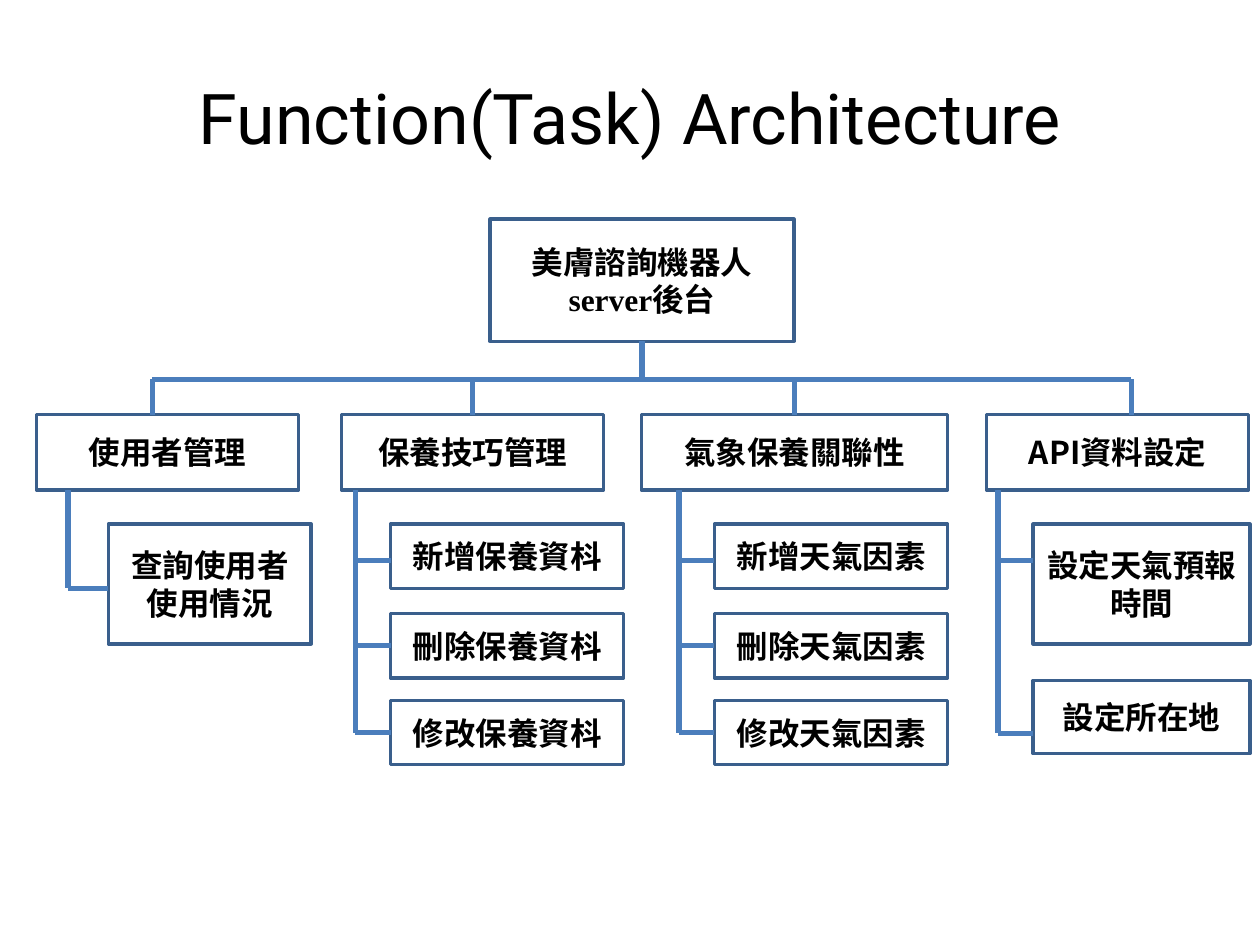
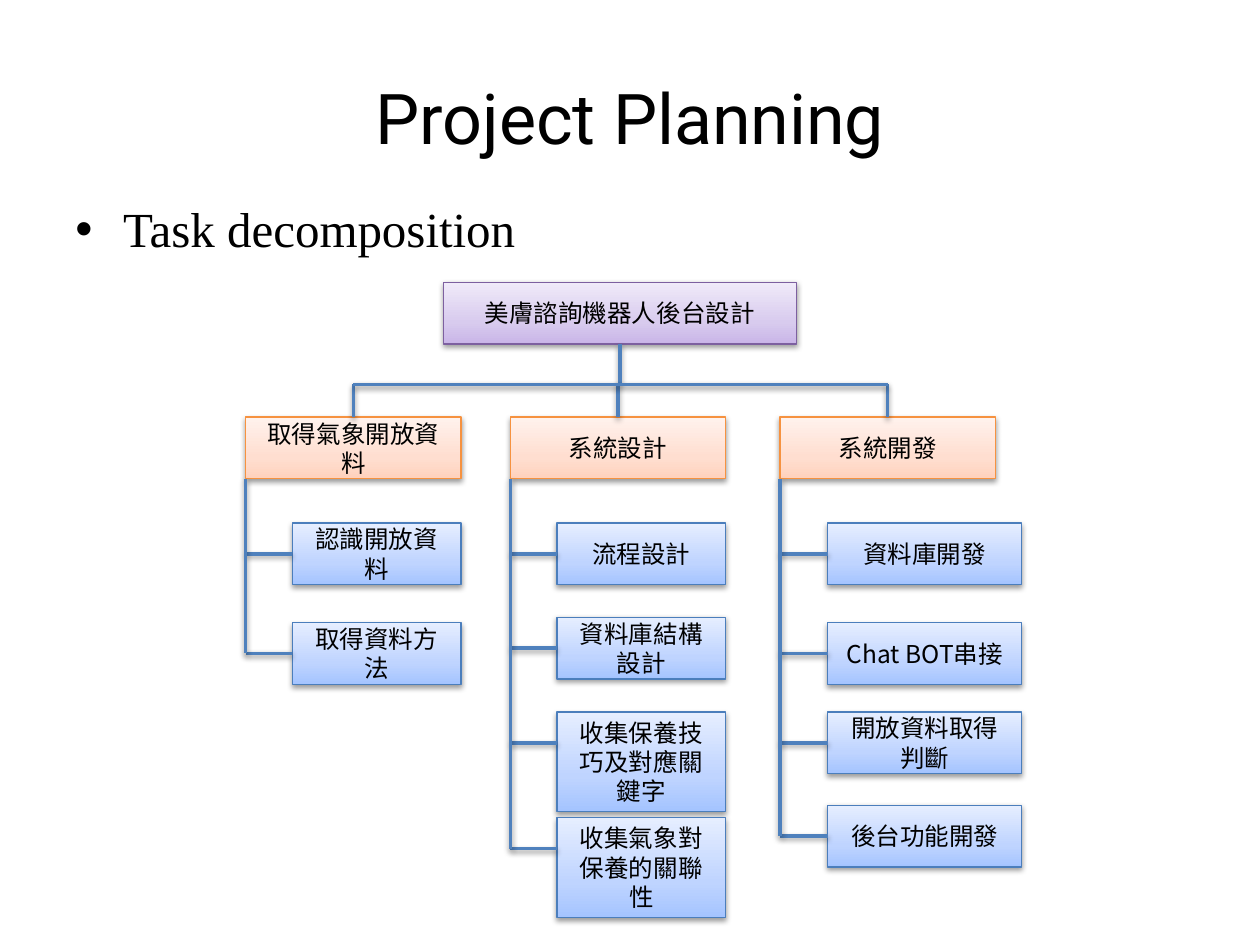
from lxml import etree
from pptx import Presentation
from pptx.dml.color import RGBColor
from pptx.enum.shapes import MSO_CONNECTOR, MSO_SHAPE
from pptx.enum.text import MSO_ANCHOR, PP_ALIGN
from pptx.oxml.ns import qn
from pptx.util import Inches, Pt

RECT, STRAIGHT = MSO_SHAPE.RECTANGLE, MSO_CONNECTOR.STRAIGHT
CENTER, LEFT = PP_ALIGN.CENTER, PP_ALIGN.LEFT
MIDDLE, TOP = MSO_ANCHOR.MIDDLE, MSO_ANCHOR.TOP
TOP_SIDE, LEFT_SIDE, BOTTOM_SIDE = 0, 1, 2
TITLE_ONLY = 5
COLS, ROWS = 100, 75
SLIDE_W, SLIDE_H = Inches(10), Inches(7.5)
JOIN_GAP = 0.3

C = {
    "text": "000000", "shadow": "000000", "outline": "3A5F8C",
    "branch": "4B7EBC", "link": "4F81BD", "root": "7D60A0", "head": "F69240",
}
GRADIENTS = {
    "root": ("C9B5E8", "D8CBEE", "F0EAF9"),
    "head": ("FFD2BD", "FFDED0", "FFF2ED"),
    "leaf": ("A4C4FF", "BFD4FF", "E6EEFF"),
}
STOPS = (0, 35, 100)
SERIF, SANS, TITLE_FONT = "Times New Roman", "Noto Sans CJK SC", "Roboto"
RUN_FONTS = {"API": SANS}

PLAIN_BOX = {"line": C["outline"], "width": 2, "shadow": False, "grad": None}
SOFT_BOX = {"width": 0.75, "shadow": True}
PLAIN = {
    "font": {"name": SERIF, "size": Pt(18), "bold": True},
    "link": {"line": C["branch"], "width": 3, "shadow": False},
    "root": PLAIN_BOX, "head": PLAIN_BOX, "leaf": PLAIN_BOX,
}
SOFT = {
    "font": {"name": SANS, "size": Pt(14)},
    "link": {"line": C["link"], "width": 2, "shadow": True},
    "root": {**SOFT_BOX, "line": C["root"], "grad": GRADIENTS["root"]},
    "head": {**SOFT_BOX, "line": C["head"], "grad": GRADIENTS["head"]},
    "leaf": {**SOFT_BOX, "line": C["branch"], "grad": GRADIENTS["leaf"]},
}


def grid(*values):
    """Turn alternating columns and rows into slide lengths."""
    units = (SLIDE_W / COLS, SLIDE_H / ROWS)
    return [round(v * units[i % 2]) for i, v in enumerate(values)]


def add_run(p, text, font):
    """Add a run whose font takes the given values."""
    r = p.add_run()
    r.text = text
    r.font.color.rgb = RGBColor.from_string(C["text"])
    for key, value in font.items():
        setattr(r.font, key, value)
    etree.SubElement(r.font._element, qn("a:ea"), typeface=SANS)


def finish(obj, look):
    """Set the outline and the shadow of a shape or connector."""
    obj.line.color.rgb = RGBColor.from_string(look["line"])
    obj.line.width = Pt(look["width"])
    effects = etree.SubElement(obj._element.spPr, qn("a:effectLst"))
    if look["shadow"]:
        shadow = etree.SubElement(effects, qn("a:outerShdw"), blurRad="40000",
                                  dist="20000", dir="5400000", rotWithShape="0")
        color = etree.SubElement(shadow, qn("a:srgbClr"), val=C["shadow"])
        etree.SubElement(color, qn("a:alpha"), val="38000")


def fill_gradient(sp, colors):
    """Fill a shape with a three-stop gradient, darkest at the bottom."""
    sp.fill.gradient()
    sp.fill.gradient_angle = 90
    stops = sp._element.spPr.find(qn("a:gradFill")).find(qn("a:gsLst"))
    for stop in list(stops):
        stops.remove(stop)
    for pos, color in zip(STOPS, colors):
        stop = etree.SubElement(stops, qn("a:gs"), pos=str(pos * 1000))
        etree.SubElement(stop, qn("a:srgbClr"), val=color)


def add_box(shapes, box, label, look, font):
    """Draw one labelled box of the tree."""
    sp = shapes.add_shape(RECT, *grid(*box))
    if look["grad"]:
        fill_gradient(sp, look["grad"])
    else:
        sp.fill.background()
    finish(sp, look)
    tf = sp.text_frame
    tf.word_wrap, tf.vertical_anchor = True, MIDDLE
    p = tf.paragraphs[0]
    p.alignment = CENTER
    for text in (label if isinstance(label, tuple) else (label,)):
        add_run(p, text, {**font, "name": RUN_FONTS.get(text, font["name"])})
    return sp


def add_link(shapes, start, end, look):
    """Draw one straight line of the tree."""
    cx = shapes.add_connector(STRAIGHT, *grid(*start, *end))
    finish(cx, look)
    return cx


def snap(value, middle):
    """Return the middle of a side when the value is close to it."""
    return middle if abs(value - middle) < JOIN_GAP else value


def draw_branch(shapes, box, bus_y, branch, style):
    """Draw a head box with its drop, stem, twigs and leaves."""
    x, y, w, h = box
    head = add_box(shapes, box, branch["label"], style["head"], style["font"])
    link = style["link"]
    middle = x + w / 2
    drop_x = snap(x + branch["drop"], middle)
    drop = add_link(shapes, (drop_x, bus_y), (drop_x, y), link)
    if drop_x == middle:
        drop.end_connect(head, TOP_SIDE)

    stem_x, leaf_x = x + branch["stem"], x + branch["indent"]
    for label, dy, leaf_h, twig in branch["leaves"]:
        leaf_box = (leaf_x, y + dy, branch["leaf_w"], leaf_h)
        leaf = add_box(shapes, leaf_box, label, style["leaf"], style["font"])
        middle = y + dy + leaf_h / 2
        twig_y = snap(y + twig, middle)
        cx = add_link(shapes, (stem_x, twig_y), (leaf_x, twig_y), link)
        if twig_y == middle:
            cx.end_connect(leaf, LEFT_SIDE)
    add_link(shapes, (stem_x, y + h), (stem_x, twig_y), link)
    return drop_x


def draw_tree(slide, origin, tree, style):
    """Draw a root box, its bus line and all branches from an origin."""
    x, y = origin
    shapes = slide.shapes.add_group_shape().shapes
    dx, w, h = tree["root"]
    root = add_box(shapes, (x + dx, y, w, h), tree["label"], style["root"], style["font"])
    bus_y, trunk_x = y + tree["bus"], x + dx + w / 2
    trunk = add_link(shapes, (trunk_x, y + h), (trunk_x, bus_y), style["link"])
    trunk.begin_connect(root, BOTTOM_SIDE)
    drops = [
        draw_branch(shapes, (x + b["x"], y + tree["head_y"], b["w"], tree["head_h"]),
                    bus_y, b, style)
        for b in tree["branches"]
    ]
    add_link(shapes, (drops[0], bus_y), (drops[-1], bus_y), style["link"])


def branch(label, x, w, drop, stem, indent, leaf_w, leaves):
    """Describe a branch; leaves hold label, top, height and twig height."""
    return {"label": label, "x": x, "w": w, "drop": drop, "stem": stem,
            "indent": indent, "leaf_w": leaf_w, "leaves": leaves}


def crud_leaves(topic):
    """List the add, delete and modify leaves of a topic."""
    rows = ((8.7, 11.6), (15.8, 18.2), (22.7, 25.3))
    return [(verb + topic, top, 5.1, twig)
            for verb, (top, twig) in zip(("新增", "刪除", "修改"), rows)]


def task_leaves(*tasks):
    """List task leaves whose twigs meet them at one fixed depth."""
    return [(label, top, h, top + 2.45) for label, top, h in tasks]


FUNCTIONS = {
    "label": "美膚諮詢機器人server後台", "root": (36, 24.1, 9.7),
    "bus": 12.7, "head_y": 15.5, "head_h": 6,
    "branches": [
        branch("使用者管理", 0, 20.8, 9.2, 2.5, 5.7, 16.1,
               [("查詢使用者使用情況", 8.7, 9.5, 13.8)]),
        branch("保養技巧管理", 24.2, 20.8, 10.6, 1.1, 3.9, 18.5, crud_leaves("保養資枓")),
        branch("氣象保養關聯性", 48, 24.3, 12.4, 3, 5.8, 18.5, crud_leaves("天氣因素")),
        branch(("API", "資料設定"), 75.4, 20.8, 11.5, 0.9, 3.7, 17.2,
               [("設定天氣預報時間", 8.7, 9.5, 11.6), ("設定所在地", 21.1, 5.8, 25.3)]),
    ],
}
TASKS = {
    "label": "美膚諮詢機器人後台設計", "root": (15.7, 28, 4.9),
    "bus": 8.1, "head_y": 10.7, "head_h": 4.9,
    "branches": [
        branch("取得氣象開放資料", 0, 17.1, 8.6, 0, 3.7, 13.4, task_leaves(
            ("認識開放資料", 8.4, 4.9), ("取得資料方法", 16.3, 4.9))),
        branch("系統設計", 21, 17.1, 8.6, 0, 3.7, 13.4, task_leaves(
            ("流程設計", 8.4, 4.9), ("資料庫結構設計", 15.9, 4.9),
            ("收集保養技巧及對應關鍵字", 23.4, 7.9),
            ("收集氣象對保養的關聯性", 31.8, 7.9))),
        branch("系統開發", 42.4, 17.1, 8.5, 0, 3.8, 15.4, task_leaves(
            ("資料庫開發", 8.4, 4.9), ("Chat BOT串接", 16.3, 4.9),
            ("開放資料取得判斷", 23.4, 4.9), ("後台功能開發", 30.8, 4.9))),
    ],
}


def add_titled_slide(prs, title):
    """Add a slide with the shared title style."""
    slide = prs.slides.add_slide(prs.slide_layouts[TITLE_ONLY])
    sp = slide.shapes.title
    sp.left, sp.top, sp.width, sp.height = grid(5, 3, 90, 12.5)
    tf = sp.text_frame
    tf.word_wrap, tf.vertical_anchor = True, MIDDLE
    p = tf.paragraphs[0]
    p.alignment = CENTER
    add_run(p, title, {"name": TITLE_FONT, "size": Pt(40)})
    return slide


def add_bullet(slide, box, text):
    """Add a text box with one bulleted line."""
    tf = slide.shapes.add_textbox(*grid(*box)).text_frame
    tf.word_wrap, tf.vertical_anchor = True, TOP
    p = tf.paragraphs[0]
    p.alignment = LEFT
    pPr = p._p.get_or_add_pPr()
    indent = Inches(0.38)
    pPr.set("marL", str(indent))
    pPr.set("indent", str(-indent))
    etree.SubElement(pPr, qn("a:buFont"), typeface="Arial")
    etree.SubElement(pPr, qn("a:buChar"), char="•")
    add_run(p, text, {"name": SERIF, "size": Pt(28)})


def main():
    """Build both slides and save the file."""
    prs = Presentation()
    prs.slide_width, prs.slide_height = SLIDE_W, SLIDE_H
    slide = add_titled_slide(prs, "Function(Task) Architecture")
    draw_tree(slide, (2.9, 17.4), FUNCTIONS, PLAIN)
    slide = add_titled_slide(prs, "Project Planning")
    add_bullet(slide, (5, 15.3, 90, 57.5), "Task decomposition")
    draw_tree(slide, (19.5, 22.4), TASKS, SOFT)
    prs.save("out.pptx")


if __name__ == "__main__":
    main()
